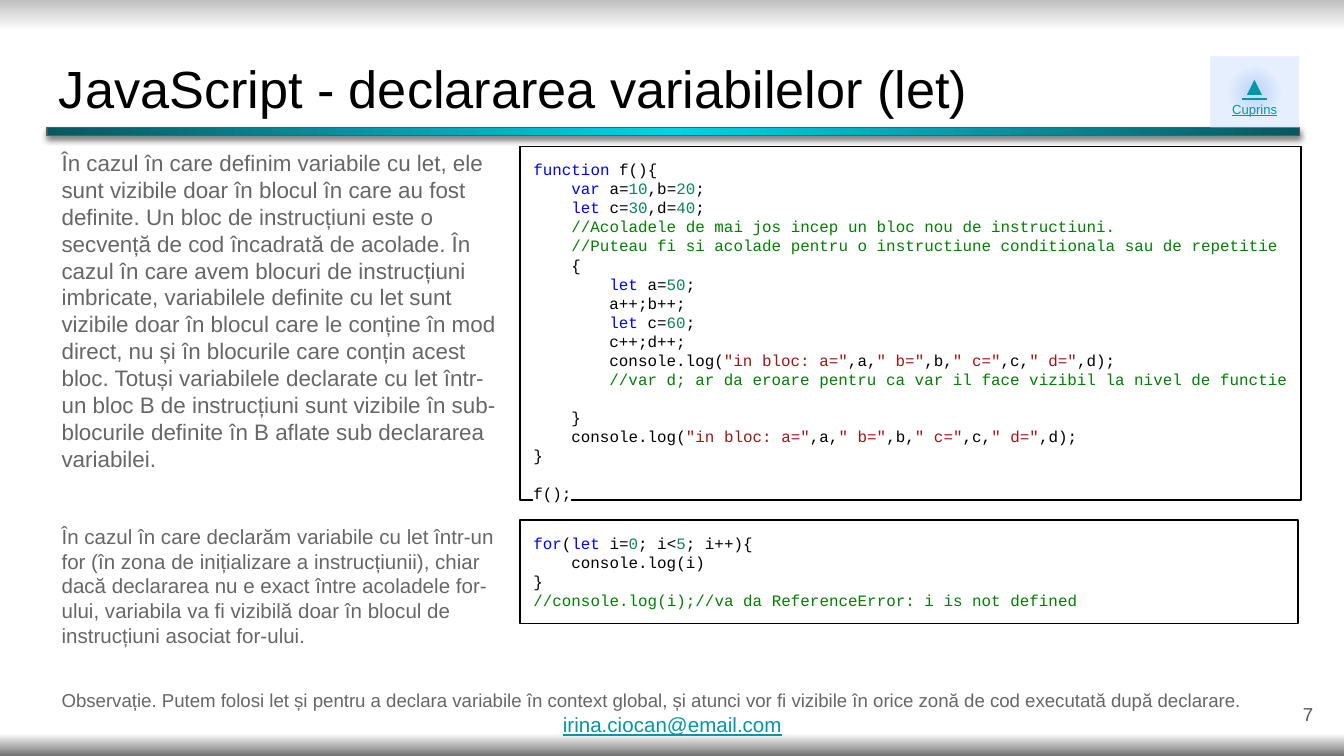
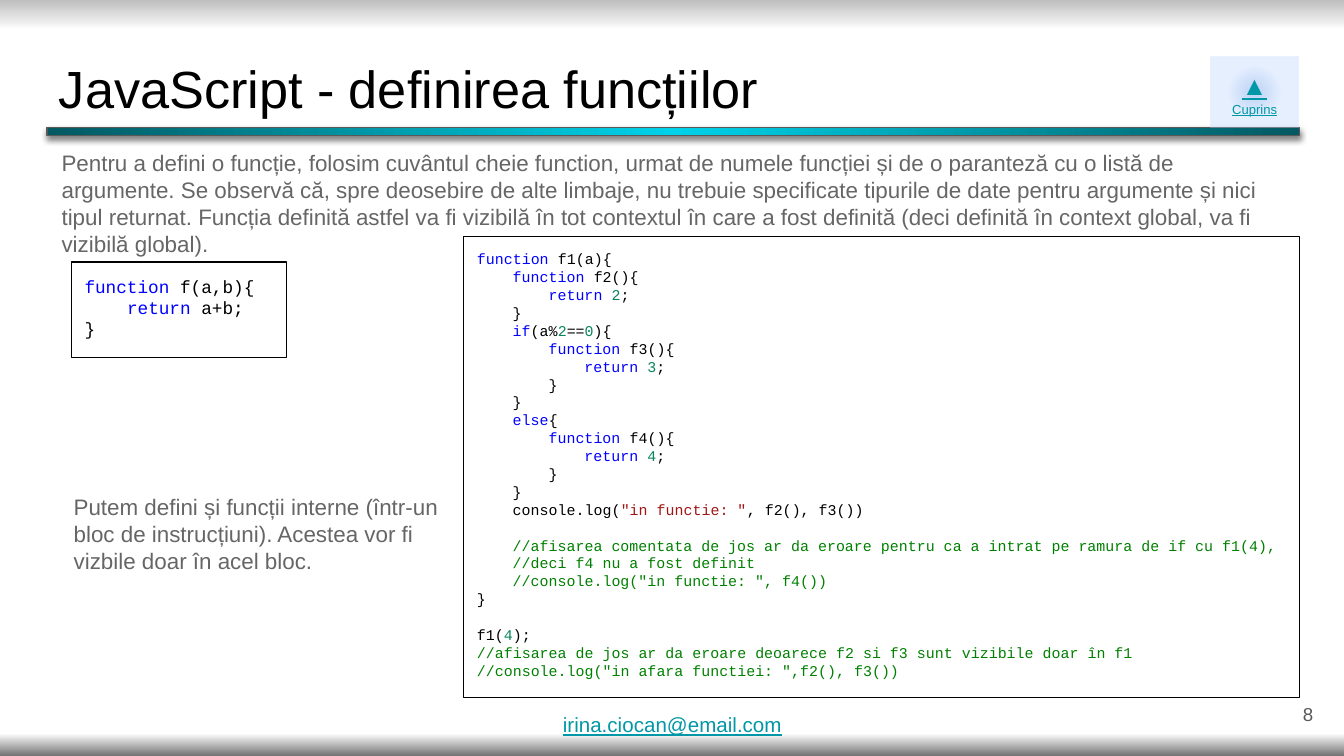
from dataclasses import dataclass
from itertools import groupby
from typing import Iterator, NamedTuple, Optional

from lxml import etree
from pptx import Presentation
from pptx import util as u
from pptx.dml import color
from pptx.enum import shapes, text
from pptx.oxml import ns

KEYWORDS = {"function", "var", "let", "for", "return", "if", "else"}
TAB = 4  # characters in one step of code indentation


@dataclass(frozen=True)
class Theme:
    font: str = "Arial"
    code_font: str = "Courier New"
    title: str = "000000"
    body: str = "666666"
    number: str = "595959"
    link: str = "0097A7"
    paper: str = "FFFFFF"
    border: str = "000000"
    code: str = "000000"
    keyword: str = "0000FF"
    digit: str = "098658"
    string: str = "A31515"
    comment: str = "008000"
    title_size: float = 28
    arrow_size: float = 14
    body_size: float = 12
    small_size: float = 11
    footer_size: float = 10
    contents_size: float = 7
    inset: float = 7.2
    char_width: float = 0.6
    line_height: float = 1.2


THEME = Theme()


class Frame(NamedTuple):
    left: float
    top: float
    width: float
    height: float


class Stop(NamedTuple):
    position: int
    rgb: str
    alpha: int = 100


class Span(NamedTuple):
    words: str
    rgb: str


@dataclass(frozen=True)
class Note:
    frame: Frame
    words: str
    size: float = THEME.body_size
    rgb: str = THEME.body
    underline: Optional[bool] = None
    align: Optional[text.PP_ALIGN] = None
    anchor: text.MSO_ANCHOR = text.MSO_ANCHOR.TOP
    inset_y: float = THEME.inset


@dataclass(frozen=True)
class Listing:
    frame: Frame
    code: str
    size: float


@dataclass(frozen=True)
class Page:
    number: int
    title: str
    notes: list[Note]
    listings: list[Listing]


BACKDROP = [Stop(0, "BFBFBF"), Stop(4, "FFFFFF"), Stop(97, "FFFFFF"), Stop(100, "737373")]
RULE = [Stop(0, "00D2E9"), Stop(100, "045962")]
GLOW = [Stop(0, "4A86E8", 37), Stop(48, "BCD6FF", 37), Stop(100, "BCD6FF", 37)]


def apply(target, **values) -> None:
    for name, value in values.items():
        setattr(target, name, value)


def rgb(value: str) -> color.RGBColor:
    return color.RGBColor.from_string(value)


def child(parent, tag: str, **attributes):
    return etree.SubElement(parent, ns.qn(tag), {k: str(v) for k, v in attributes.items()})


def add_color(parent, value: str, alpha: int = 100) -> None:
    node = child(parent, "a:srgbClr", val=value)
    if alpha < 100:
        child(node, "a:alpha", val=alpha * 1000)


def make_gradient(owner, fill, stops: list[Stop], radial: bool) -> None:
    """Swap the solid fill inside owner for a gradient, radial or running downwards."""
    fill.solid()
    solid = owner.find(ns.qn("a:solidFill"))
    gradient = etree.Element(ns.qn("a:gradFill"), rotWithShape="1")
    stop_list = child(gradient, "a:gsLst")
    for stop in stops:
        add_color(child(stop_list, "a:gs", pos=stop.position * 1000), stop.rgb, stop.alpha)
    if radial:
        center = child(gradient, "a:path", path="circle")
        child(center, "a:fillToRect", **dict.fromkeys("ltrb", 50000))
    else:
        child(gradient, "a:lin", ang=90 * 60000, scaled=0)
    owner.replace(solid, gradient)


def set_frame(box, inset_y: float = THEME.inset, anchor=text.MSO_ANCHOR.TOP):
    apply(box.text_frame, word_wrap=True, vertical_anchor=anchor,
          margin_left=u.Pt(THEME.inset), margin_right=u.Pt(THEME.inset),
          margin_top=u.Pt(inset_y), margin_bottom=u.Pt(inset_y))
    return box.text_frame


def add_span(para, words: str, size: float, value: str,
             font: str = THEME.font, underline: Optional[bool] = None):
    span = para.add_run()
    span.text = words
    apply(span.font, size=u.Pt(size), name=font, underline=underline)
    span.font.color.rgb = rgb(value)
    return span


def add_rectangle(page, frame: Frame):
    box = page.shapes.add_shape(shapes.MSO_SHAPE.RECTANGLE, *map(u.Pt, frame))
    box.shadow.inherit = False
    box.fill.background()
    box.line.fill.background()
    return box


def outline(box, value: str) -> None:
    box.line.color.rgb = rgb(value)
    box.line.width = u.Pt(0.75)


def add_note(page, note: Note) -> None:
    box = page.shapes.add_textbox(*map(u.Pt, note.frame))
    para = set_frame(box, note.inset_y, note.anchor).paragraphs[0]
    para.alignment = note.align
    add_span(para, note.words, note.size, note.rgb, underline=note.underline)


def color_code(line: str) -> Iterator[Span]:
    """Split a line of code into spans coloured by syntax."""
    code, slashes, remark = line.partition("//")
    for index, piece in enumerate(code.split('"')):
        if index % 2:
            yield Span(f'"{piece}"', THEME.string)
            continue
        for _, letters in groupby(piece, str.isalnum):
            word = "".join(letters)
            tint = THEME.digit if word.isdigit() else THEME.code
            yield Span(word, THEME.keyword if word in KEYWORDS else tint)
    if slashes:
        yield Span(slashes + remark, THEME.comment)


def add_listing(page, listing: Listing) -> None:
    box = add_rectangle(page, listing.frame)
    outline(box, THEME.border)
    frame = set_frame(box)
    para, gap = frame.paragraphs[0], 0
    for index, line in enumerate(listing.code.strip().splitlines()):
        if not line:
            gap += listing.size * THEME.line_height
            continue
        if index:
            para = frame.add_paragraph()
        words = line.lstrip()
        indent = (len(line) - len(words)) * listing.size * THEME.char_width
        apply(para, alignment=text.PP_ALIGN.LEFT, space_before=u.Pt(gap))
        apply_indent = para._p.get_or_add_pPr().set
        apply_indent("marL", str(u.Pt(indent)))
        gap = 0
        for value, spans in groupby(color_code(words), lambda span: span.rgb):
            joined = "".join(span.words for span in spans)
            span = add_span(para, joined, listing.size, value, THEME.code_font)
            highlight = etree.Element(ns.qn("a:highlight"))
            add_color(highlight, THEME.paper)
            span.font._element.find(ns.qn("a:solidFill")).addnext(highlight)


def add_rule(page) -> None:
    bar = add_rectangle(page, Frame(25.2, 68.4, 671, 4.3))
    make_gradient(bar.element.spPr, bar.fill, RULE, radial=True)
    outline(bar, THEME.number)
    effects = bar.element.spPr.find(ns.qn("a:effectLst"))
    shadow = child(effects, "a:outerShdw", blurRad=u.Pt(3.4), dist=u.Pt(1.5),
                   dir=90 * 60000, algn="bl", rotWithShape=0)
    add_color(shadow, THEME.border, 50)


def add_contents_button(page) -> None:
    button = add_rectangle(page, Frame(648.7, 30.2, 46.8, 38.2))
    make_gradient(button.element.spPr, button.fill, GLOW, radial=True)
    frame = set_frame(button)
    labels = (("▲", THEME.arrow_size), ("Cuprins", THEME.contents_size))
    for para, (words, size) in zip((frame.paragraphs[0], frame.add_paragraph()), labels):
        para.alignment = text.PP_ALIGN.CENTER
        add_span(para, words, size, THEME.link, underline=True)


def add_page(deck, content: Page) -> None:
    page = deck.slides.add_slide(deck.slide_layouts[6])
    fill = page.background.fill
    make_gradient(page.element.find(".//" + ns.qn("p:bgPr")), fill, BACKDROP, radial=False)
    add_note(page, Note(Frame(24.5, 23, 671, 45.4), content.title, THEME.title_size, THEME.title))
    add_rule(page)
    add_note(page, Note(Frame(667.4, 367.2, 43.2, 31), str(content.number), THEME.footer_size,
                        THEME.number, align=text.PP_ALIGN.RIGHT, anchor=text.MSO_ANCHOR.MIDDLE))
    add_contents_button(page)
    add_note(page, Note(Frame(294.5, 381.6, 132.5, 19.4), "irina.ciocan@email.com",
                        THEME.small_size, THEME.link, underline=True, inset_y=0))
    for note in content.notes:
        add_note(page, note)
    for listing in content.listings:
        add_listing(page, listing)


LET_CODE = """
function f(){
    var a=10,b=20;
    let c=30,d=40;
    //Acoladele de mai jos incep un bloc nou de instructiuni.
    //Puteau fi si acolade pentru o instructiune conditionala sau de repetitie
    {
        let a=50;
        a++;b++;
        let c=60;
        c++;d++;
        console.log("in bloc: a=",a," b=",b," c=",c," d=",d);
        //var d; ar da eroare pentru ca var il face vizibil la nivel de functie

    }
    console.log("in bloc: a=",a," b=",b," c=",c," d=",d);
}

f();
"""
FOR_CODE = """
for(let i=0; i<5; i++){
    console.log(i)
}
//console.log(i);//va da ReferenceError: i is not defined
"""
SUM_CODE = """
function f(a,b){
    return a+b;
}
"""
INNER_CODE = """
function f1(a){
    function f2(){
        return 2;
    }
    if(a%2==0){
        function f3(){
            return 3;
        }
    }
    else{
        function f4(){
            return 4;
        }
    }
    console.log("in functie: ", f2(), f3())

    //afisarea comentata de jos ar da eroare pentru ca a intrat pe ramura de if cu f1(4),
    //deci f4 nu a fost definit
    //console.log("in functie: ", f4())
}

f1(4);
//afisarea de jos ar da eroare deoarece f2 si f3 sunt vizibile doar în f1
//console.log("in afara functiei: ",f2(), f3())
"""

PAGES = [
    Page(7, "JavaScript - declararea variabilelor (let)", [
        Note(Frame(25.9, 72.7, 252.7, 195.1), "În cazul în care definim variabile cu let, ele sunt vizibile doar în blocul în care au fost definite. Un bloc de instrucțiuni este o secvență de cod încadrată de acolade. În cazul în care avem blocuri de instrucțiuni imbricate, variabilele definite cu let sunt vizibile doar în blocul care le conține în mod direct, nu și în blocurile care conțin acest bloc. Totuși variabilele declarate cu let într-un bloc B de instrucțiuni sunt vizibile în sub-blocurile definite în B aflate sub declararea variabilei."),
        Note(Frame(25.9, 362.9, 671, 25.2), "Observație. Putem folosi let și pentru a declara variabile în context global, și atunci vor fi vizibile în orice zonă de cod executată după declarare.", THEME.footer_size),
        Note(Frame(25.9, 273.6, 252.7, 77.8), "În cazul în care declarăm variabile cu let într-un for (în zona de inițializare a instrucțiunii), chiar dacă declararea nu e exact între acoladele for-ului, variabila va fi vizibilă doar în blocul de instrucțiuni asociat for-ului.", THEME.small_size),
    ], [
        Listing(Frame(278.6, 278.6, 416.9, 55.4), FOR_CODE, 8.5),
        Listing(Frame(278.6, 78.5, 418.3, 189.4), LET_CODE, 8.5),
    ]),
    Page(8, "JavaScript - definirea funcțiilor", [
        Note(Frame(25.9, 72.7, 668.2, 55.4), "Pentru a defini o funcție, folosim cuvântul cheie function, urmat de numele funcției și de o paranteză cu o listă de argumente. Se observă că, spre deosebire de alte limbaje, nu trebuie specificate tipurile de date pentru argumente și nici tipul returnat. Funcția definită astfel va fi vizibilă în tot contextul în care a fost definită (deci definită în context global, va fi vizibilă global)."),
        Note(Frame(32.4, 257, 216, 55.4), "Putem defini și funcții interne (într-un bloc de instrucțiuni). Acestea vor fi vizbile doar în acel bloc."),
    ], [
        Listing(Frame(38.2, 140.4, 115.2, 51.1), SUM_CODE, 9.5),
        Listing(Frame(248.4, 126.7, 447.8, 247), INNER_CODE, 8),
    ]),
]


def main() -> None:
    deck = Presentation()
    apply(deck, slide_width=u.Pt(720), slide_height=u.Pt(405))
    for content in PAGES:
        add_page(deck, content)
    deck.save("out.pptx")


if __name__ == "__main__":
    main()
